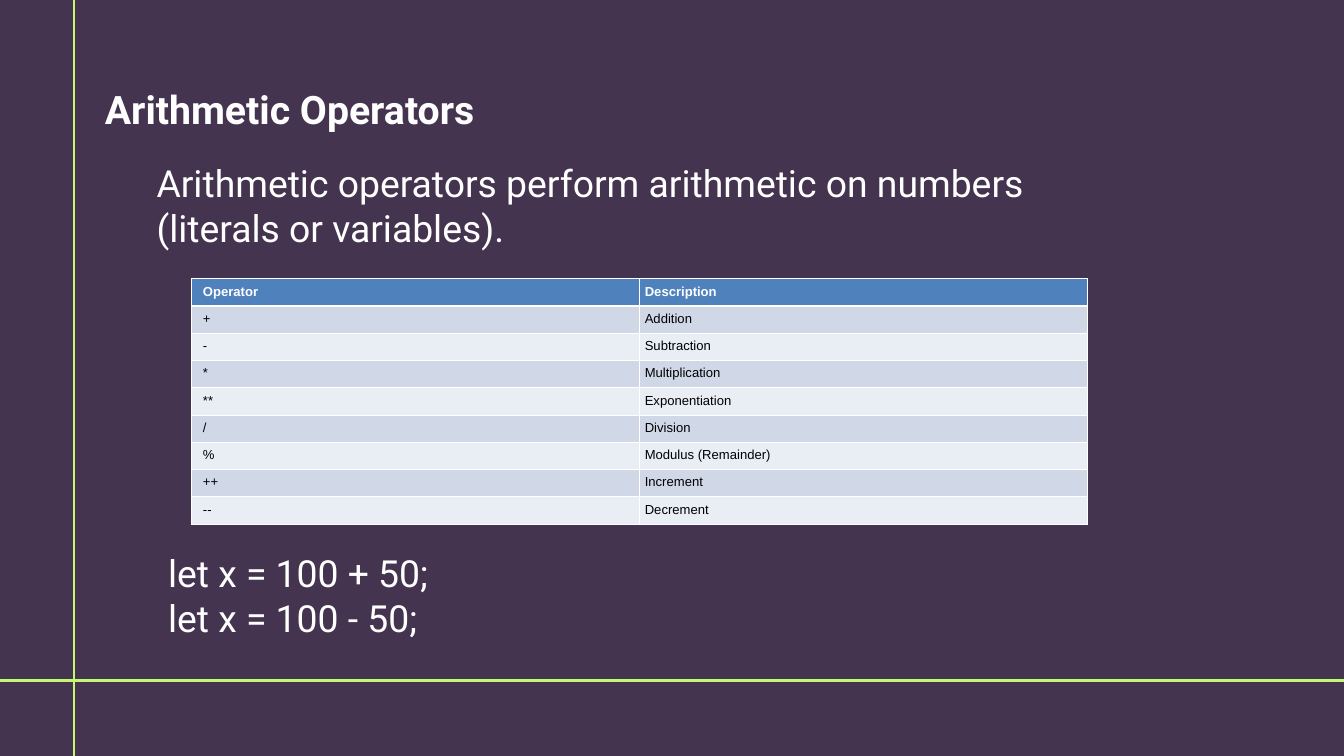
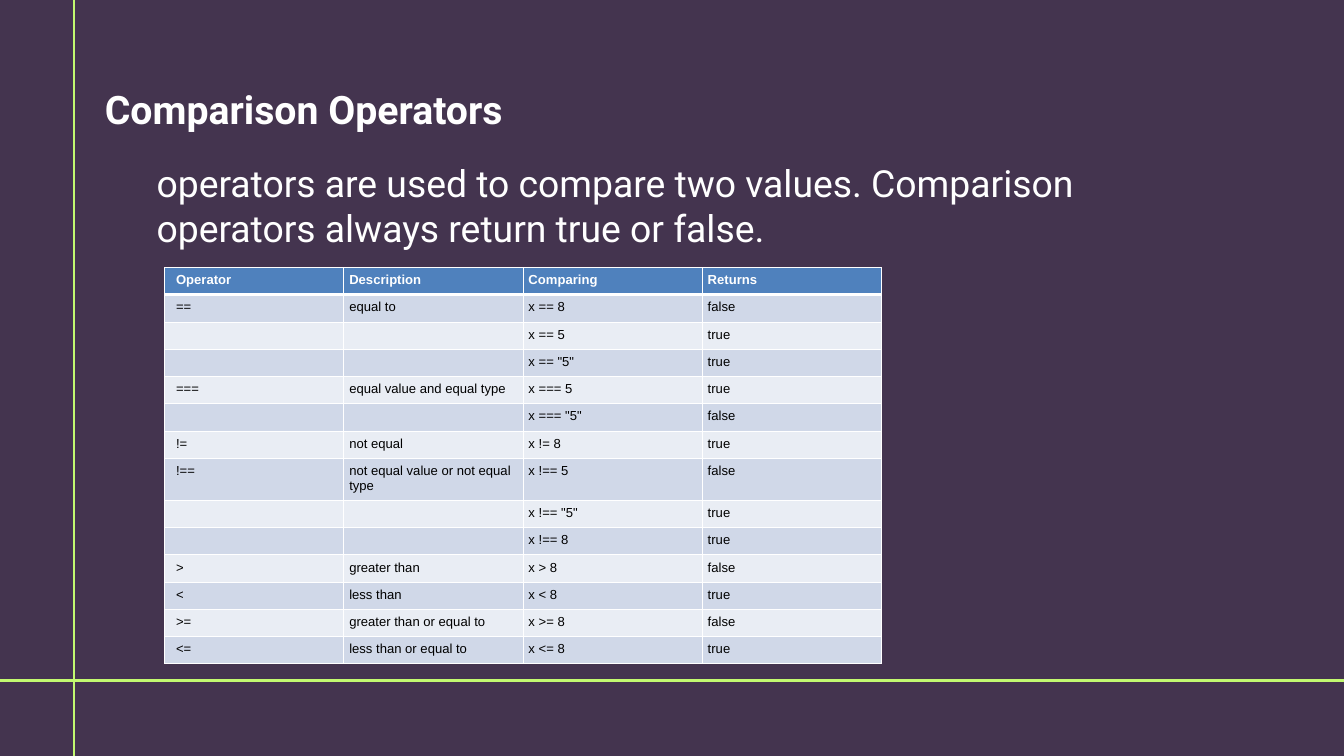
from lxml import etree
from pptx import Presentation
from pptx.dml.color import RGBColor
from pptx.enum import shapes, text
from pptx.oxml import ns
from pptx.util import Inches, Pt

# Shared style
PURPLE = RGBColor(0x44, 0x34, 0x4F)
LIME = RGBColor(0xC2, 0xF9, 0x70)
WHITE = RGBColor(0xFF, 0xFF, 0xFF)
BLACK = RGBColor(0, 0, 0)
HEADER_BLUE = RGBColor(0x4F, 0x81, 0xBD)
BANDS = (RGBColor(0xD0, 0xD8, 0xE8), RGBColor(0xE9, 0xED, 0xF4))
HEADING_FONT, TABLE_FONT = "Roboto", "Arial"
TITLE_SIZE, BODY_SIZE, TABLE_SIZE = 42, 40, 14
WIDTH, HEIGHT = 20, 11.25
RULE_X, RULE_Y = 1.1, 10.13
TABLE_ROW = 3.65 / 9
TITLE_AND_CONTENT = 1

# Table contents, header row first
ARITHMETIC = [
    ("Operator", "Description"),
    ("+", "Addition"),
    ("-", "Subtraction"),
    ("*", "Multiplication"),
    ("**", "Exponentiation"),
    ("/", "Division"),
    ("%", "Modulus (Remainder)"),
    ("++", "Increment"),
    ("--", "Decrement"),
]
COMPARISON = [
    ("Operator", "Description", "Comparing", "Returns"),
    ("==", "equal to", "x == 8", "false"),
    ("", "", "x == 5", "true"),
    ("", "", 'x == "5"', "true"),
    ("===", "equal value and equal type", "x === 5", "true"),
    ("", "", 'x === "5"', "false"),
    ("!=", "not equal", "x != 8", "true"),
    ("!==", "not equal value or not equal type", "x !== 5", "false"),
    ("", "", 'x !== "5"', "true"),
    ("", "", "x !== 8", "true"),
    (">", "greater than", "x > 8", "false"),
    ("<", "less than", "x < 8", "true"),
    (">=", "greater than or equal to", "x >= 8", "false"),
    ("<=", "less than or equal to", "x <= 8", "true"),
]


def format_runs(paragraph, font_name, size, color, bold=False):
    for run in paragraph.runs:
        run.font.name = font_name
        run.font.size = Pt(size)
        run.font.bold = bold
        run.font.color.rgb = color


def add_border(cell, side, width):
    line = etree.SubElement(cell._tc.get_or_add_tcPr(), ns.qn(f"a:ln{side}"), w=str(Pt(width)))
    fill = etree.SubElement(line, ns.qn("a:solidFill"))
    etree.SubElement(fill, ns.qn("a:srgbClr"), val=str(WHITE))


class Deck:
    def __init__(self):
        self.presentation = Presentation()
        self.presentation.slide_width = Inches(WIDTH)
        self.presentation.slide_height = Inches(HEIGHT)
        background = self.presentation.slide_master.background.fill
        background.solid()
        background.fore_color.rgb = PURPLE
        self.slide = None

    def add_slide(self, title, body):
        layout = self.presentation.slide_layouts[TITLE_AND_CONTENT]
        self.slide = self.presentation.slides.add_slide(layout)
        self.add_rule(RULE_X, HEIGHT, RULE_X, 0)
        self.add_rule(WIDTH, RULE_Y, 0, RULE_Y)
        self.place_text(self.slide.shapes.title, (1.56, 1.27, 17.48, 0.71),
                        title, TITLE_SIZE, True)
        self.place_text(self.slide.placeholders[1], (2.33, 2.39, 13.85, 1.35), body)

    def add_rule(self, x1, y1, x2, y2):
        rule = self.slide.shapes.add_connector(
            shapes.MSO_CONNECTOR.STRAIGHT, Inches(x1), Inches(y1), Inches(x2), Inches(y2))
        rule.line.color.rgb = LIME
        rule.line.width = Pt(3)
        etree.SubElement(rule._element.spPr, ns.qn("a:effectLst"))

    def place_text(self, shape, box, content, size=BODY_SIZE, bold=False):
        shape.left, shape.top, shape.width, shape.height = map(Inches, box)
        frame = shape.text_frame
        frame.text = content
        frame.word_wrap = True
        frame.auto_size = text.MSO_AUTO_SIZE.SHAPE_TO_FIT_TEXT
        frame.vertical_anchor = text.MSO_ANCHOR.TOP
        frame.margin_left = frame.margin_top = frame.margin_right = frame.margin_bottom = 0
        for paragraph in frame.paragraphs:
            paragraph.alignment = text.PP_ALIGN.LEFT
            paragraph.space_before = Pt(0)
            properties = paragraph._p.get_or_add_pPr()
            properties.set("marL", "0")
            properties.set("indent", "0")
            etree.SubElement(properties, ns.qn("a:buNone"))
            format_runs(paragraph, HEADING_FONT, size, WHITE, bold)

    def add_text(self, box, content):
        self.place_text(self.slide.shapes.add_textbox(*map(Inches, box)), box, content)

    def add_table(self, left, top, width, rows):
        frame = self.slide.shapes.add_table(
            len(rows), len(rows[0]), Inches(left), Inches(top),
            Inches(width), Inches(TABLE_ROW * len(rows)))
        frame.table.horz_banding = False
        for row, values in enumerate(rows):
            for column, value in enumerate(values):
                self.fill_cell(frame.table.cell(row, column), row, column, value)

    def fill_cell(self, cell, row, column, value):
        header = row == 0
        cell.text = value
        cell.margin_left = Inches(0.17 if column == 0 else 0.08)
        cell.margin_top = cell.margin_right = cell.margin_bottom = Inches(0.08)
        paragraph = cell.text_frame.paragraphs[0]
        format_runs(paragraph, TABLE_FONT, TABLE_SIZE, WHITE if header else BLACK, header)
        if not value:  # keeps empty rows as low as the others
            etree.SubElement(paragraph._p, ns.qn("a:endParaRPr"), sz=str(TABLE_SIZE * 100))
        # Thick line between header and body
        widths = {"L": 1, "R": 1, "T": 3 if row == 1 else 1, "B": 3 if header else 1}
        for side, width in widths.items():
            add_border(cell, side, width)
        cell.fill.solid()
        cell.fill.fore_color.rgb = HEADER_BLUE if header else BANDS[(row - 1) % 2]


def main():
    deck = Deck()

    # Arithmetic operators
    deck.add_slide("Arithmetic Operators",
                   "Arithmetic operators perform arithmetic on numbers (literals or variables).")
    deck.add_table(2.85, 4.15, 13.33, ARITHMETIC)
    deck.add_text((2.5, 8.19, 13.85, 1.35), "let x = 100 + 50;\nlet x = 100 - 50;")

    # Comparison operators
    deck.add_slide("Comparison Operators",
                   "operators are used to compare two values. "
                   "Comparison operators always return true or false.")
    deck.add_table(2.45, 3.98, 10.67, COMPARISON)

    deck.presentation.save("out.pptx")


if __name__ == "__main__":
    main()
